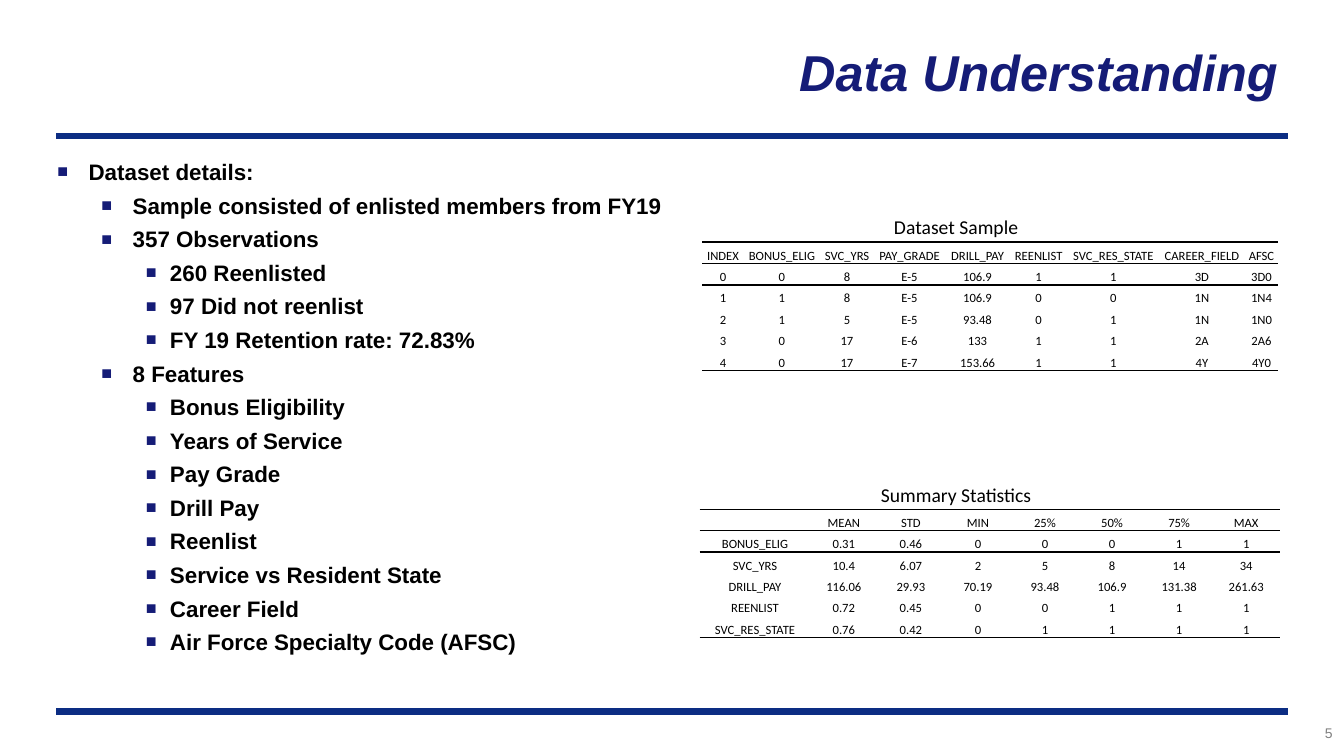
from dataclasses import dataclass

from lxml import etree
from pptx import Presentation
from pptx import util as u
from pptx.dml import color
from pptx.enum import shapes, text
from pptx.oxml import ns

NAVY, BLUE, BLACK, GREY = "151C77", "0C2D83", "000000", "808080"
NO_STYLE = "{2D5ABB26-0587-4C30-8999-92F81FD0307C}"
ROW_HEIGHT = 0.54


@dataclass
class Box:
    left: float
    top: float
    width: float
    height: float

    def lengths(self) -> list:
        return [u.Cm(value) for value in (self.left, self.top, self.width, self.height)]


@dataclass
class Label:
    wording: str
    box: Box
    font: dict
    colour: str
    align: text.PP_ALIGN = text.PP_ALIGN.LEFT
    wrap: bool = False


@dataclass
class DataTable:
    left: float
    top: float
    widths: list
    rows: list
    ruled_edges: tuple  # row edges that carry a line, counted from the top


@dataclass
class Level:
    margin: float
    hanging: float


TITLE_FONT = {"name": "Arial", "size": u.Pt(36), "bold": True, "italic": True}
LIST_FONT = {"name": "Arial", "size": u.Pt(16), "bold": True}
CELL_FONT = {"name": "Calibri", "size": u.Pt(9), "bold": False}
CAPTION_FONT = {"name": "Calibri", "size": u.Pt(14)}
NUMBER_FONT = {"name": "Arial", "size": u.Pt(10)}

RULE_LEFT, RULE_RIGHT, RULE_TOPS = 1.42, 32.46, (3.43, 17.93)
LEVELS = [Level(0.79, 0.79), Level(1.9, 0.79), Level(2.84, 0.61)]
DETAILS = [
    (0, "Dataset details:"),
    (1, "Sample consisted of enlisted members from FY19"),
    (1, "357 Observations"),
    (2, "260 Reenlisted"),
    (2, "97 Did not reenlist"),
    (2, "FY 19 Retention rate: 72.83%"),
    (1, "8 Features"),
    (2, "Bonus Eligibility"),
    (2, "Years of Service"),
    (2, "Pay Grade"),
    (2, "Drill Pay"),
    (2, "Reenlist"),
    (2, "Service vs Resident State"),
    (2, "Career Field"),
    (2, "Air Force Specialty Code (AFSC)"),
]
SUMMARY = DataTable(17.63, 12.29, [2.79] + [1.69] * 7, [
    [""] * 8,
    ["", "MEAN", "STD", "MIN", "25%", "50%", "75%", "MAX"],
    ["BONUS_ELIG", "0.31", "0.46", "0", "0", "0", "1", "1"],
    ["SVC_YRS", "10.4", "6.07", "2", "5", "8", "14", "34"],
    ["DRILL_PAY", "116.06", "29.93", "70.19", "93.48", "106.9", "131.38", "261.63"],
    ["REENLIST", "0.72", "0.45", "0", "0", "1", "1", "1"],
    ["SVC_RES_STATE", "0.76", "0.42", "0", "1", "1", "1", "1"],
], (1, 2, 7))
SAMPLE = DataTable(17.7, 6.1, [1.04, 1.93, 1.35, 1.8, 1.63, 1.45, 2.31, 2.16, 0.84], [
    ["INDEX", "BONUS_ELIG", "SVC_YRS", "PAY_GRADE", "DRILL_PAY", "REENLIST",
     "SVC_RES_STATE", "CAREER_FIELD", "AFSC"],
    ["0", "0", "8", "E-5", "106.9", "1", "1", "3D", "3D0"],
    ["1", "1", "8", "E-5", "106.9", "0", "0", "1N", "1N4"],
    ["2", "1", "5", "E-5", "93.48", "0", "1", "1N", "1N0"],
    ["3", "0", "17", "E-6", "133", "1", "1", "2A", "2A6"],
    ["4", "0", "17", "E-7", "153.66", "1", "1", "4Y", "4Y0"],
], (0, 1, 6))
LABELS = [
    Label("5", Box(29.59, 18.14, 4.24, 0.84), NUMBER_FONT, GREY, text.PP_ALIGN.RIGHT, True),
    Label("Dataset Sample", Box(22.28, 5.28, 3.68, 0.86), CAPTION_FONT, BLACK),
    Label("Summary Statistics", Box(21.95, 12.04, 4.34, 0.86), CAPTION_FONT, BLACK),
]


def rgb(colour: str) -> color.RGBColor:
    return color.RGBColor.from_string(colour)


def set_all(target, values: dict) -> None:
    for name, value in values.items():
        setattr(target, name, value)


def add_element(parent, tag: str, **attributes):
    return etree.SubElement(parent, ns.qn(tag), attributes)


def write(paragraph, wording: str, font: dict, colour: str) -> None:
    run = paragraph.add_run()
    run.text = wording
    set_all(run.font, font)
    run.font.color.rgb = rgb(colour)


def place(shape, box: Box) -> None:
    set_all(shape, dict(zip(("left", "top", "width", "height"), box.lengths())))


def add_rule(slide, top: float) -> None:
    rule = slide.shapes.add_connector(
        shapes.MSO_CONNECTOR.STRAIGHT,
        u.Cm(RULE_LEFT), u.Cm(top), u.Cm(RULE_RIGHT), u.Cm(top))
    rule.line.color.rgb = rgb(BLUE)
    rule.line.width = u.Pt(4.5)
    add_element(rule._element.spPr, "a:effectLst")


def add_bullet(paragraph, level: Level) -> None:
    properties = paragraph._p.get_or_add_pPr()
    properties.set("marL", str(u.Cm(level.margin)))
    properties.set("indent", str(-u.Cm(level.hanging)))
    bullet_colour = add_element(properties, "a:buClr")
    add_element(bullet_colour, "a:srgbClr", val=NAVY)
    add_element(properties, "a:buSzPct", val="80000")
    add_element(properties, "a:buFont", typeface="Arial")
    add_element(properties, "a:buChar", char="■")


def fill_details(frame) -> None:
    set_all(frame, {"auto_size": text.MSO_AUTO_SIZE.NONE, "word_wrap": True})
    for index, (level, wording) in enumerate(DETAILS):
        paragraph = frame.add_paragraph() if index else frame.paragraphs[0]
        set_all(paragraph, {"level": level, "space_before": u.Pt(4.8 if index else 0)})
        add_bullet(paragraph, LEVELS[level])
        write(paragraph, wording, LIST_FONT, BLACK)


def add_label(slide, label: Label) -> None:
    frame = slide.shapes.add_textbox(*label.box.lengths()).text_frame
    frame.word_wrap = label.wrap
    frame.paragraphs[0].alignment = label.align
    write(frame.paragraphs[0], label.wording, label.font, label.colour)


def add_border(cell, tag: str) -> None:
    line = add_element(cell._tc.get_or_add_tcPr(), tag, w=str(u.Pt(1)))
    add_element(add_element(line, "a:solidFill"), "a:srgbClr", val=BLACK)


def add_data_table(slide, data: DataTable) -> None:
    box = Box(data.left, data.top, sum(data.widths), ROW_HEIGHT * len(data.rows))
    table = slide.shapes.add_table(
        len(data.rows), len(data.widths), *box.lengths()).table
    set_all(table, {"first_row": False, "horz_banding": False})
    table._tbl.tblPr.find(ns.qn("a:tableStyleId")).text = NO_STYLE
    for column, width in zip(table.columns, data.widths):
        column.width = u.Cm(width)
    for row, values in enumerate(data.rows):
        table.rows[row].height = u.Cm(ROW_HEIGHT)
        for column, value in enumerate(values):
            cell = table.cell(row, column)
            set_all(cell, {
                "margin_left": u.Cm(0.03), "margin_right": u.Cm(0.03),
                "margin_top": u.Cm(0.03), "margin_bottom": 0,
                "vertical_anchor": text.MSO_ANCHOR.BOTTOM})
            for tag, edge in (("a:lnT", row), ("a:lnB", row + 1)):
                if edge in data.ruled_edges:
                    add_border(cell, tag)
            cell.fill.background()
            paragraph = cell.text_frame.paragraphs[0]
            paragraph.alignment = text.PP_ALIGN.CENTER
            if value:
                write(paragraph, value, CELL_FONT, BLACK)
            else:
                add_element(paragraph._p, "a:endParaRPr", sz="900")


def main() -> None:
    presentation = Presentation()
    set_all(presentation, {"slide_width": u.Cm(33.87), "slide_height": u.Cm(19.05)})
    slide = presentation.slides.add_slide(presentation.slide_layouts[1])

    # Title and list
    title, body = slide.shapes.title, slide.placeholders[1]
    place(title, Box(5.99, 0.2, 26.47, 3.18))
    title.text_frame.vertical_anchor = text.MSO_ANCHOR.MIDDLE
    heading = title.text_frame.paragraphs[0]
    heading.alignment = text.PP_ALIGN.RIGHT
    write(heading, "Data Understanding", TITLE_FONT, NAVY)
    place(body, Box(1.19, 3.86, 17.75, 13.18))
    fill_details(body.text_frame)

    # Rules, tables, captions and page number
    for top in RULE_TOPS:
        add_rule(slide, top)
    for data in (SUMMARY, SAMPLE):
        add_data_table(slide, data)
    for label in LABELS:
        add_label(slide, label)
    presentation.save("out.pptx")


if __name__ == "__main__":
    main()
